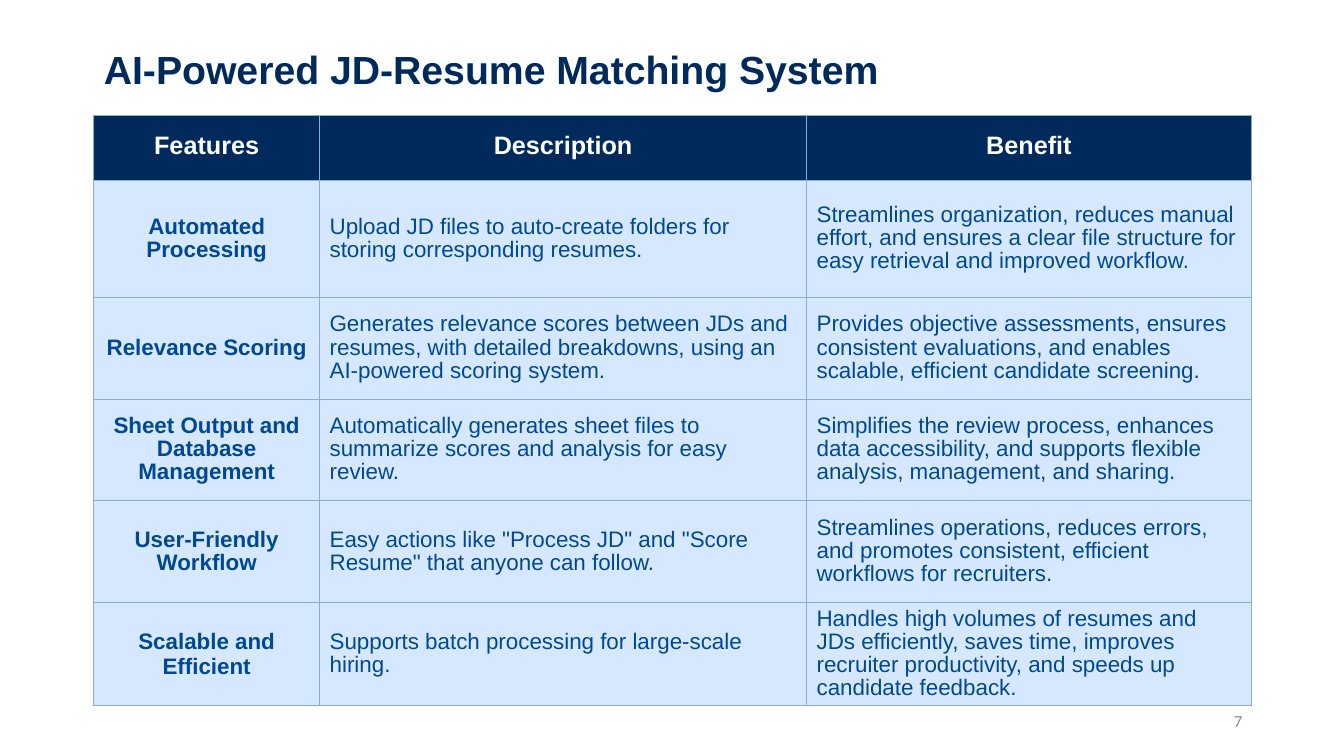
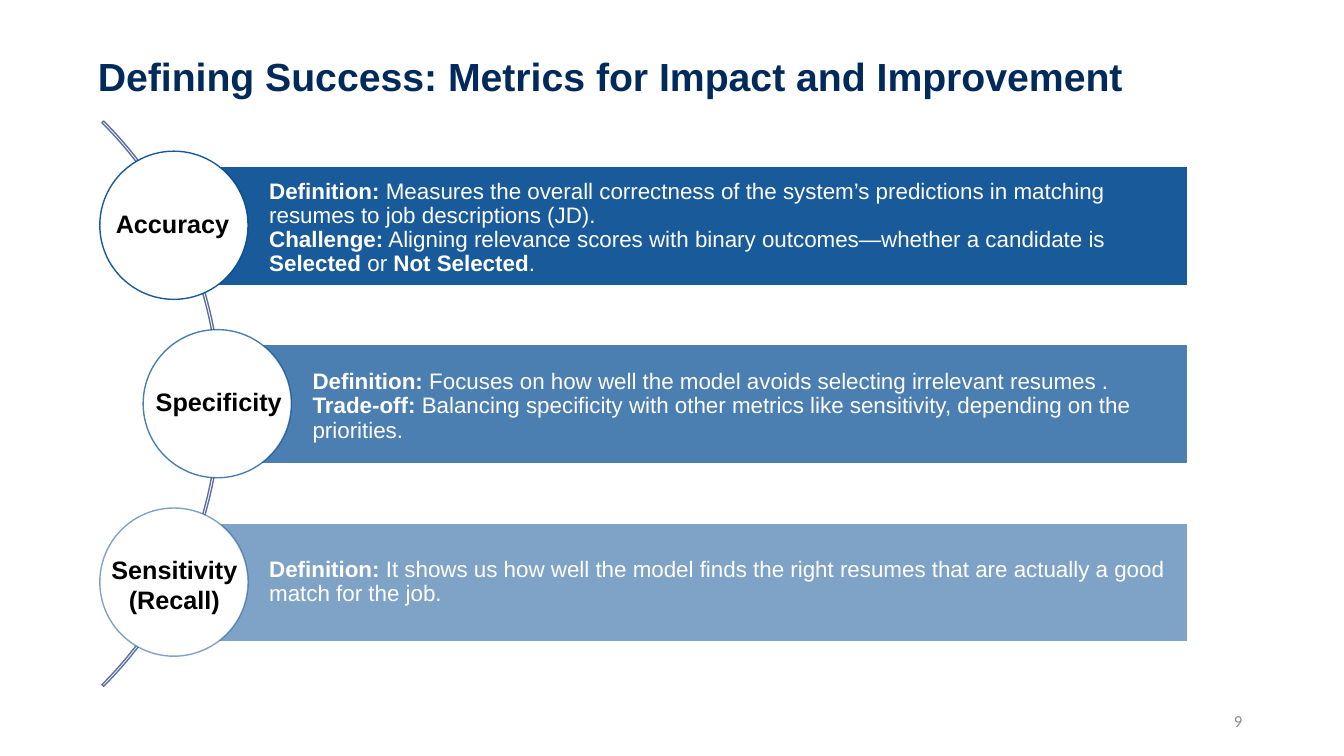
from lxml.etree import SubElement
from pptx import Presentation
from pptx.dml.color import RGBColor
from pptx.enum.shapes import MSO_SHAPE
from pptx.enum.text import MSO_ANCHOR, MSO_AUTO_SIZE, PP_ALIGN
from pptx.oxml import parse_xml
from pptx.oxml.ns import nsdecls, qn
from pptx.util import Pt

PX = 9144
NAVY, BLUE, PALE, GRID = "00295C", "004991", "D5E8FF", "89ADCE"
WHITE, BLACK, GREY, ARC = "FFFFFF", "000000", "8C8C8C", "5E70A1"
color = RGBColor.from_string

presentation = Presentation()
presentation.slide_width = 1333 * PX
presentation.slide_height = 750 * PX


def style(run, size, hex_color, bold=False, name="Arial"):
    run.font.size = Pt(size)
    run.font.name = name
    run.font.bold = bold
    run.font.color.rgb = color(hex_color)


def start_slide(title_text, box, anchor, bottom_inset, number):
    slide = presentation.slides.add_slide(presentation.slide_layouts[5])
    title = slide.shapes.title
    title.left, title.top, title.width, title.height = [length * PX for length in box]
    text_frame = title.text_frame
    text_frame.text = title_text
    text_frame.auto_size = MSO_AUTO_SIZE.NONE
    text_frame.vertical_anchor = anchor
    text_frame.margin_bottom = bottom_inset * PX
    paragraph = text_frame.paragraphs[0]
    paragraph.alignment = PP_ALIGN.LEFT
    paragraph.line_spacing = 0.9
    style(paragraph.runs[0], 28, NAVY, True)

    footer = slide.shapes.add_textbox(942 * PX, 695 * PX, 300 * PX, 40 * PX)
    footer.text_frame.text = number
    footer.text_frame.word_wrap = True
    footer.text_frame.vertical_anchor = MSO_ANCHOR.MIDDLE
    paragraph = footer.text_frame.paragraphs[0]
    paragraph.alignment = PP_ALIGN.RIGHT
    style(paragraph.runs[0], 12, GREY, name="Calibri")
    return slide


slide = start_slide("AI-Powered JD-Resume Matching System",
                    (93, 38, 971, 59), MSO_ANCHOR.BOTTOM, 5, "7")
features = [
    ("Features", "Description", "Benefit"),
    ("Automated Processing",
     "Upload JD files to auto-create folders for storing corresponding resumes.",
     "Streamlines organization, reduces manual effort, and ensures a clear file "
     "structure for easy retrieval and improved workflow."),
    ("Relevance Scoring",
     "Generates relevance scores between JDs and resumes, with detailed breakdowns, "
     "using an AI-powered scoring system.",
     "Provides objective assessments, ensures consistent evaluations, and enables "
     "scalable, efficient candidate screening."),
    ("Sheet Output and Database Management",
     "Automatically generates sheet files to summarize scores and analysis for easy review.",
     "Simplifies the review process, enhances data accessibility, and supports flexible "
     "analysis, management, and sharing."),
    ("User-Friendly Workflow",
     'Easy actions like "Process JD" and "Score Resume" that anyone can follow.',
     "Streamlines operations, reduces errors, and promotes consistent, efficient "
     "workflows for recruiters."),
    ("Scalable and Efficient",
     "Supports batch processing for large-scale hiring.",
     "Handles high volumes of resumes and JDs efficiently, saves time, improves "
     "recruiter productivity, and speeds up candidate feedback."),
]
naturally_spaced = ("Relevance Scoring", "Scalable and Efficient")
table = slide.shapes.add_table(6, 3, 93 * PX, 115 * PX, 1148 * PX, 584 * PX).table
for column, width in zip(table.columns, (224, 483, 441)):
    column.width = width * PX
for row, height in zip(table.rows, (64, 116, 101, 101, 101, 101)):
    row.height = height * PX
for row_index, texts in enumerate(features):
    header = row_index == 0
    for column_index, text in enumerate(texts):
        cell = table.cell(row_index, column_index)
        cell.text_frame.text = text
        cell.vertical_anchor = MSO_ANCHOR.MIDDLE
        cell.fill.solid()
        cell.fill.fore_color.rgb = color(NAVY if header else PALE)
        centered = header or column_index == 0
        paragraph = cell.text_frame.paragraphs[0]
        paragraph.alignment = PP_ALIGN.CENTER if centered else PP_ALIGN.LEFT
        if text not in naturally_spaced:
            paragraph.line_spacing = Pt(16.5)
        style(paragraph.runs[0], 18 if header else 16, WHITE if header else BLUE, centered)
        properties = cell._tc.get_or_add_tcPr()
        for position, side in enumerate("LRTB"):
            properties.insert(position, parse_xml(
                f'<a:ln{side} {nsdecls("a")} w="9525"><a:solidFill>'
                f'<a:srgbClr val="{GRID}"/></a:solidFill></a:ln{side}>'))

slide = start_slide("Defining Success: Metrics for Impact and Improvement",
                    (87, 34, 1053, 129), MSO_ANCHOR.MIDDLE, 45, "9")
arc = slide.shapes.add_shape(MSO_SHAPE.BLOCK_ARC, -574 * PX, 4 * PX, 793 * PX, 793 * PX)
arc.shadow.inherit = False
arc.adjustments[0], arc.adjustments[1], arc.adjustments[2] = 189, 27, 0.003
arc.fill.background()
arc.line.color.rgb = color(ARC)
arc.line.width = Pt(1)

metrics = [
    ("Accuracy", (105, 202, 40), PP_ALIGN.LEFT, 99, 90, 9, [
        [("Definition:", True),
         (" Measures the overall correctness of the system’s predictions in matching "
          "resumes to job descriptions (JD).", False)],
        [("Challenge:", True),
         (" Aligning relevance scores with binary outcomes—whether a candidate is ", False),
         ("Selected", True), (" or ", False), ("Not Selected", True), (".", False)]]),
    ("Specificity", (144, 378, 40), PP_ALIGN.CENTER, 142, 70, 9, [
        [("Definition:", True),
         (" Focuses on how well the model avoids selecting irrelevant resumes .", False)],
        [("Trade-off:", True),
         (" Balancing specificity with other metrics like sensitivity, depending on the "
          "priorities.", False)]]),
    ("Sensitivity (Recall)", (100, 545, 71), PP_ALIGN.CENTER, 99, 50, 4, [
        [("Definition:", True),
         (" It shows us how well the model finds the right resumes that are actually a good "
          "match for the job.", False)]]),
]
for index, (name, label_box, alignment, left, opacity, top_inset, lines) in enumerate(metrics):
    top = 150 + 177 * index
    bar_left = left + 74
    bar = slide.shapes.add_shape(MSO_SHAPE.RECTANGLE, bar_left * PX, (top + 15) * PX,
                                 (1178 - bar_left) * PX, 118 * PX)
    circle = slide.shapes.add_shape(MSO_SHAPE.OVAL, left * PX, top * PX, 147 * PX, 147 * PX)
    for shape, fill, line in ((bar, BLUE, WHITE), (circle, WHITE, BLUE)):
        shape.shadow.inherit = False
        shape.fill.solid()
        shape.fill.fore_color.rgb = color(fill)
        shape.line.color.rgb = color(line)
        shape.line.width = Pt(1)
        for element in shape._element.spPr.iter(qn("a:srgbClr")):
            if element.get("val") == BLUE:
                SubElement(element, qn("a:alpha")).set("val", str(opacity * 1000))

    text_frame = bar.text_frame
    text_frame.word_wrap = True
    text_frame.vertical_anchor = MSO_ANCHOR.MIDDLE
    text_frame.margin_left = 94 * PX
    text_frame.margin_top = top_inset * PX
    text_frame.margin_right = text_frame.margin_bottom = 4 * PX
    for line_index, pieces in enumerate(lines):
        paragraph = text_frame.add_paragraph() if line_index else text_frame.paragraphs[0]
        paragraph.alignment = PP_ALIGN.LEFT
        paragraph.line_spacing = 0.9
        for text, bold in pieces:
            run = paragraph.add_run()
            run.text = text
            style(run, 16, WHITE, bold)

    label_left, label_top, label_height = label_box
    label = slide.shapes.add_textbox(label_left * PX, label_top * PX, 146 * PX, label_height * PX)
    label.text_frame.text = name
    label.text_frame.word_wrap = True
    paragraph = label.text_frame.paragraphs[0]
    paragraph.alignment = alignment
    style(paragraph.runs[0], 18, BLACK, True)

presentation.save("out.pptx")
